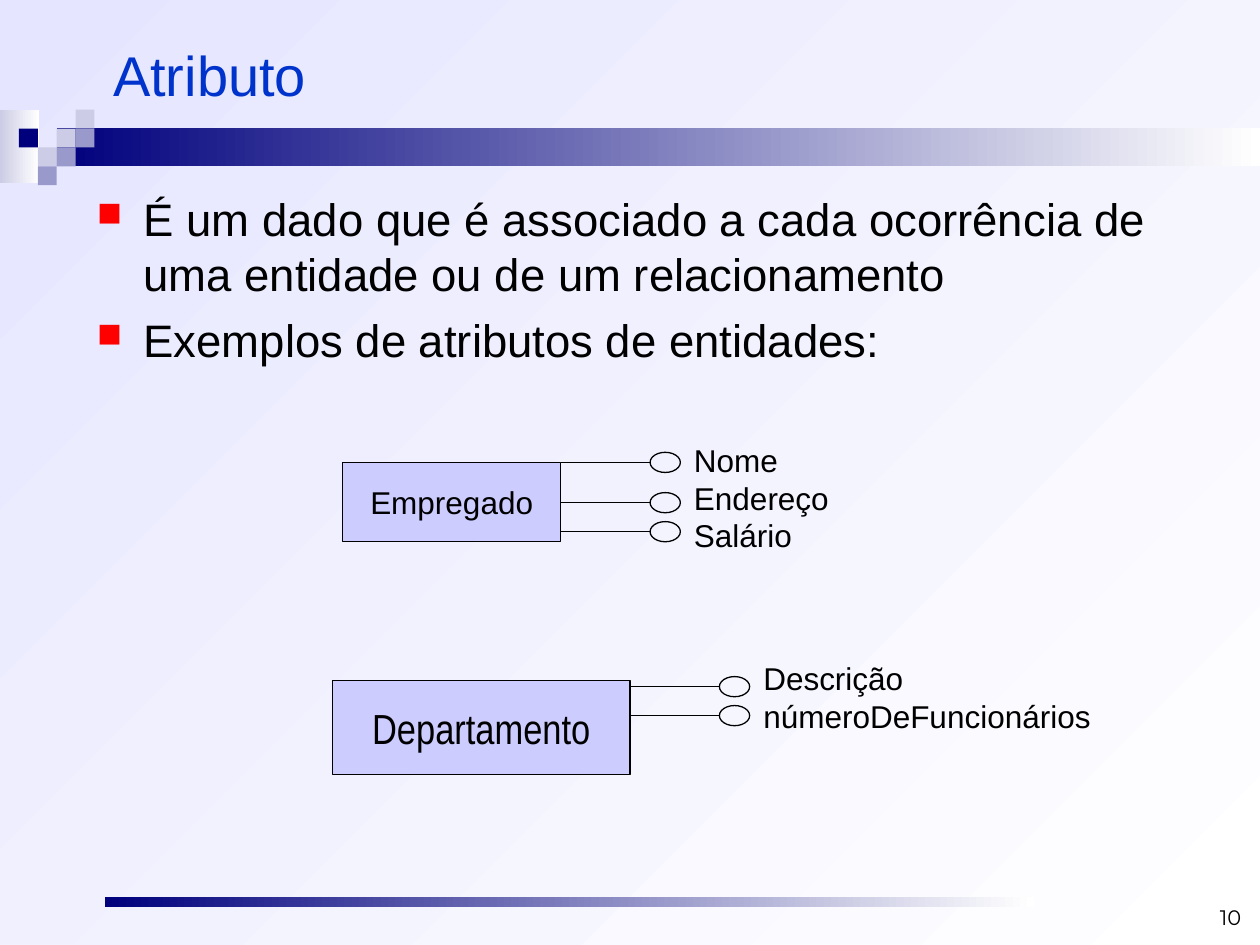
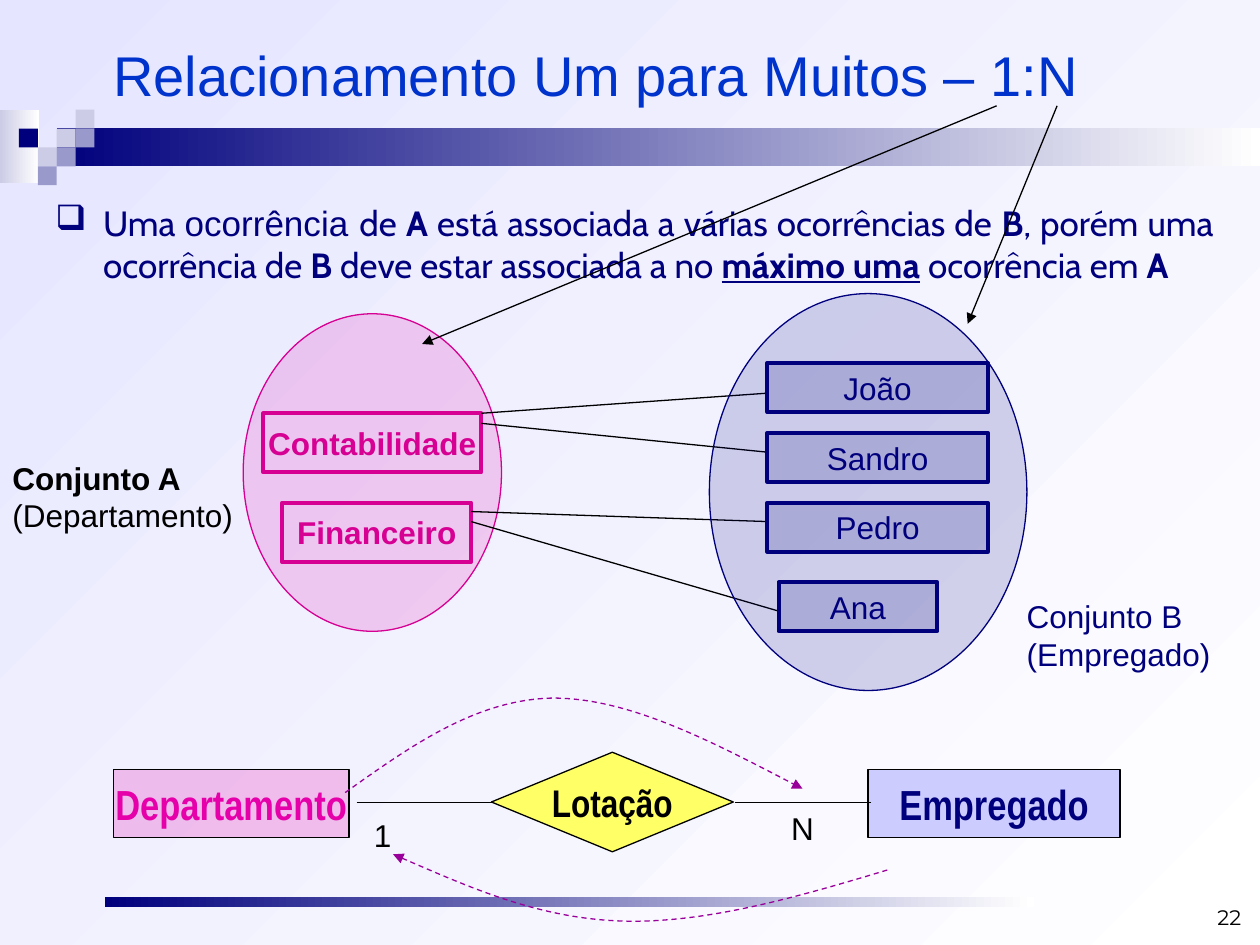
import dataclasses

import lxml.etree
import pptx
import pptx.dml.color
import pptx.enum.dml
import pptx.enum.shapes
import pptx.enum.text
import pptx.oxml
import pptx.oxml.ns
import pptx.util

Inches = pptx.util.Inches
Kind = pptx.enum.shapes.MSO_SHAPE
Align = pptx.enum.text.PP_ALIGN
Anchor = pptx.enum.text.MSO_ANCHOR
qn = pptx.oxml.ns.qn


@dataclasses.dataclass(frozen=True)
class Theme:
    """Colours, fonts and type sizes of the presentation."""
    white: str = "FFFFFF"
    black: str = "000000"
    navy: str = "00007D"
    lavender: str = "E5E5FF"
    pale: str = "CCCCE6"
    mid: str = "9999CC"
    title: str = "0033CC"
    bullet: str = "FF0000"
    entity: str = "CCCCFF"
    pink: str = "E600AA"
    magenta: str = "D60093"
    yellow: str = "FFFF66"
    purple: str = "990099"
    sans: str = "Arial"
    narrow: str = "Arial Narrow"
    prose: str = "Cabin"
    number: str = "Montserrat"
    title_size: float = 32
    body_size: float = 26
    entity_size: float = 24
    diamond_size: float = 22
    prose_size: float = 20
    label_size: float = 18
    number_size: float = 12
    thin: float = 0.75
    thick: float = 2.25


THEME = Theme()


@dataclasses.dataclass(frozen=True)
class Box:
    """A rectangle in inches."""
    x: float
    y: float
    w: float
    h: float

    def inner(self, dx, dy, w, h):
        """Return a box offset from this one's top left corner."""
        return Box(self.x + dx, self.y + dy, w, h)

    def emu(self):
        """Return the four lengths for a shape call."""
        return [Inches(v) for v in (self.x, self.y, self.w, self.h)]


def rgb(code):
    """Turn a hex code into a colour."""
    return pptx.dml.color.RGBColor.from_string(code)


def add_xml(parent, tag, **attributes):
    """Append a drawing element to its parent."""
    return lxml.etree.SubElement(parent, qn(tag), attributes)


def set_gradient(fill, start, end, angle):
    """Apply a linear gradient between two colours."""
    fill.gradient()
    fill.gradient_angle = angle
    for stop, code in zip(fill.gradient_stops, (start, end)):
        stop.color.rgb = rgb(code)


def set_line(line, color, width):
    """Colour and size a line."""
    line.color.rgb = rgb(color)
    line.width = pptx.util.Pt(width)


def style(font, size, color, face=THEME.sans, bold=False):
    """Format a font."""
    font.size = pptx.util.Pt(size)
    font.name = face
    font.bold = bold
    font.color.rgb = rgb(color)


def figure(slide, box, kind=Kind.RECTANGLE, fill=None, alpha=None,
           line=None, width=THEME.thin):
    """Draw a preset shape with an optional fill and outline."""
    shape = slide.shapes.add_shape(kind, *box.emu())
    shape.shadow.inherit = False
    if fill:
        shape.fill.solid()
        shape.fill.fore_color.rgb = rgb(fill)
    else:
        shape.fill.background()
    if alpha:
        color = shape.element.spPr.find(qn("a:solidFill"))[0]
        add_xml(color, "a:alpha", val=str(alpha * 1000))
    if line:
        set_line(shape.line, line, width)
    else:
        shape.line.fill.background()
    return shape


def caption(shape, text, size, color, face=THEME.sans, bold=False):
    """Centre one line of text in a shape."""
    frame = shape.text_frame
    frame.text = text
    frame.word_wrap = False
    frame.vertical_anchor = Anchor.MIDDLE
    frame.paragraphs[0].alignment = Align.CENTER
    style(frame.paragraphs[0].runs[0].font, size, color, face, bold)


def text_box(slide, box, text, size, color, face=THEME.sans,
             anchor=Anchor.TOP, align=Align.LEFT):
    """Place wrapped text in a box and return its frame."""
    frame = slide.shapes.add_textbox(*box.emu()).text_frame
    frame.text = text
    frame.word_wrap = True
    frame.vertical_anchor = anchor
    for paragraph in frame.paragraphs:
        paragraph.alignment = align
        for run in paragraph.runs:
            style(run.font, size, color, face)
    return frame


def label(slide, box, text, color=THEME.black):
    """Place unwrapped text that sizes its own box."""
    frame = text_box(slide, box, text, THEME.label_size, color)
    frame.word_wrap = False
    frame.auto_size = pptx.enum.text.MSO_AUTO_SIZE.SHAPE_TO_FIT_TEXT
    return frame


def link(slide, x1, y1, x2, y2, arrow=False):
    """Draw a straight line, with an arrowhead at its end if asked."""
    straight = pptx.enum.shapes.MSO_CONNECTOR.STRAIGHT
    line = slide.shapes.add_connector(straight, *map(Inches, (x1, y1, x2, y2)))
    set_line(line.line, THEME.black, THEME.thin)
    if arrow:
        add_xml(line.line._get_or_add_ln(), "a:tailEnd", type="triangle")
    add_xml(line.element.spPr, "a:effectLst")


def dashed_curve(slide, box, points, arrow_tag):
    """Draw a dashed chain of Bézier curves through points given in a box."""
    start, *rest = [(Inches(box.x + x), Inches(box.y + y)) for x, y in points]
    builder = slide.shapes.build_freeform(*start)
    builder.add_line_segments(rest, close=False)
    curve = builder.convert_to_shape()
    curve.shadow.inherit = False
    curve.fill.background()
    set_line(curve.line, THEME.purple, THEME.thin)
    curve.line.dash_style = pptx.enum.dml.MSO_LINE.DASH
    add_xml(curve.line._get_or_add_ln(), arrow_tag, type="triangle")
    outline = next(curve.element.iter(qn("a:path")))
    segments = outline.findall(qn("a:lnTo"))
    for first in range(0, len(segments), 3):
        bezier = add_xml(outline, "a:cubicBezTo")
        for segment in segments[first:first + 3]:
            bezier.append(segment[0])
            outline.remove(segment)


def set_bullet(paragraph, char, color, indent, percent=100):
    """Give a paragraph a hanging bullet."""
    properties = paragraph._p.get_or_add_pPr()
    properties.set("marL", str(Inches(indent)))
    properties.set("indent", str(-Inches(indent)))
    add_xml(add_xml(properties, "a:buClr"), "a:srgbClr", val=color)
    add_xml(properties, "a:buSzPct", val=str(percent * 1000))
    add_xml(properties, "a:buChar", char=char)


def add_page(deck, title, number):
    """Add a slide with the shared background, bands, title and number."""
    slide = deck.slides.add_slide(deck.slide_layouts[6])
    set_gradient(slide.background.fill, THEME.white, THEME.lavender, 135)
    bands = [(Box(0, 0.87, 0.31, 0.58), THEME.pale),
             (Box(0.45, 1.02, 9.55, 0.3), THEME.navy),
             (Box(0.83, 7.12, 7.38, 0.08), THEME.navy)]
    for box, color in bands:
        set_gradient(figure(slide, box).fill, THEME.white, color, 180)
    cell = 0.15
    squares = [(3, 1, THEME.pale), (4, 0, THEME.pale), (4, 1, THEME.mid),
               (2, 2, THEME.pale), (1, 1, THEME.navy), (3, 2, THEME.mid),
               (2, 3, THEME.mid)]
    for column, row, color in squares:
        figure(slide, Box(column * cell, 0.87 + row * cell, cell, cell),
               fill=color)
    text_box(slide, Box(0.8, 0.13, 9, 0.91), title, THEME.title_size,
             THEME.title, anchor=Anchor.MIDDLE)
    text_box(slide, Box(7.62, 6.93, 2.33, 0.5), number, THEME.number_size,
             THEME.black, THEME.number, Anchor.BOTTOM, Align.RIGHT)
    return slide


def entity_with_attributes(slide, box, name, size, face, attributes):
    """Draw an entity and its attributes, each at a height within the box."""
    entity = figure(slide, box, fill=THEME.entity, line=THEME.black)
    caption(entity, name, size, THEME.black, face)
    for height in attributes.values():
        figure(slide, box.inner(box.w + 0.71, height - 0.08, 0.24, 0.16),
               Kind.OVAL, line=THEME.black)
        y = box.y + height
        link(slide, box.x + box.w, y, box.x + box.w + 0.71, y)
    label(slide, box.inner(box.w + 0.96, -0.22, 2.8, 0.3 * len(attributes) + 0.1),
          "\n".join(attributes))


def entity_set(slide, box, fill, alpha, color, members, member_alpha, bold):
    """Draw a set as an ellipse with its members placed inside."""
    figure(slide, box, Kind.OVAL, fill, alpha, color)
    for name, place in members.items():
        member = figure(slide, box.inner(*place), alpha=member_alpha,
                        fill=fill if member_alpha else None,
                        line=color, width=THEME.thick)
        caption(member, name, THEME.label_size, color, bold=bold)


def relationship(slide, box):
    """Draw the entity-relationship diagram with its cardinalities."""
    parts = [
        ("Empregado", (5.99, 0.63, 2, 0.54), Kind.RECTANGLE, THEME.entity,
         None, THEME.navy, THEME.entity_size),
        ("Departamento", (0, 0.63, 1.87, 0.54), Kind.RECTANGLE, THEME.pink,
         22, THEME.pink, THEME.entity_size),
        ("Lotação", (3, 0.49, 1.92, 0.79), Kind.FLOWCHART_DECISION,
         THEME.yellow, None, THEME.black, THEME.diamond_size)]
    for name, place, kind, fill, alpha, color, size in parts:
        part = figure(slide, box.inner(*place), kind, fill, alpha, THEME.black)
        caption(part, name, size, color, THEME.narrow, True)
    for start in (1.93, 4.93):
        link(slide, box.x + start, box.y + 0.89, box.x + start + 1.08, box.y + 0.89)
    label(slide, box.inner(5.28, 0.89, 0.38, 0.4), "N")
    label(slide, box.inner(1.97, 0.95, 0.34, 0.4), "1")
    dashed_curve(slide, box, [(1.84, 0.81), (2.36, 0.44), (2.88, 0.07),
                              (3.49, 0.06), (4.09, 0.06), (4.78, 0.42),
                              (5.47, 0.78)], "a:tailEnd")
    dashed_curve(slide, box, [(2.22, 1.3), (2.8, 1.55), (3.38, 1.81),
                              (4.04, 1.83), (4.7, 1.85), (5.43, 1.64),
                              (6.16, 1.42)], "a:headEnd")


def definition(slide, box):
    """Write the rule of the one-to-many relationship."""
    phrases = ["Uma ", "ocorrência ", "de ", "A",
               " está associada a várias ocorrências de ", "B",
               ", porém uma ocorrência de ", "B",
               " deve estar associada a no ", "máximo uma",
               " ocorrência em ", "A"]
    frame = text_box(slide, box, "", THEME.prose_size, THEME.navy,
                     align=Align.JUSTIFY)
    paragraph = frame.paragraphs[0]
    set_bullet(paragraph, "❑", THEME.navy, 0.38)
    for phrase in phrases:
        run = paragraph.add_run()
        run.text = phrase
        face = THEME.sans if phrase == "ocorrência " else THEME.prose
        style(run.font, THEME.prose_size, THEME.navy, face,
              phrase in ("A", "B", "máximo uma"))
        run.font.underline = phrase == "máximo uma"


def attribute_slide(deck):
    """Build the slide on attributes."""
    slide = add_page(deck, "Atributo", "10")
    body = text_box(
        slide, Box(0.67, 1.47, 9.01, 5.05),
        "É um dado que é associado a cada ocorrência de uma entidade ou de um "
        "relacionamento\nExemplos de atributos de entidades:",
        THEME.body_size, THEME.black)
    for paragraph in body.paragraphs:
        set_bullet(paragraph, "■", THEME.bullet, 0.37, 75)
    body.paragraphs[1].space_before = pptx.util.Pt(6.5)
    entity_with_attributes(
        slide, Box(2.72, 3.67, 1.73, 0.63), "Empregado", THEME.label_size,
        THEME.sans, {"Nome": 0, "Endereço": 0.32, "Salário": 0.55})
    entity_with_attributes(
        slide, Box(2.64, 5.4, 2.36, 0.75), "Departamento", THEME.entity_size,
        THEME.narrow, {"Descrição": 0.05, "númeroDeFuncionários": 0.28})


def one_to_many_slide(deck):
    """Build the slide on the one-to-many relationship."""
    slide = add_page(deck, "Relacionamento Um para Muitos – 1:N", "22")
    definition(slide, Box(0.34, 1.55, 9.39, 1.57))
    entity_set(slide, Box(1.93, 2.49, 2.05, 2.52), THEME.pink, 17,
               THEME.magenta, {"Contabilidade": (0.16, 0.79, 1.73, 0.47),
                               "Financeiro": (0.31, 1.5, 1.5, 0.47)}, None, True)
    for ends in [(3.82, 3.28, 6.1, 3.12), (3.82, 3.36, 6.1, 3.59),
                 (3.74, 4.06, 6.1, 4.14), (3.74, 4.14, 6.18, 4.85)]:
        link(slide, *ends)
    for ends in [(7.91, 0.84, 3.35, 2.73), (8.39, 0.84, 7.68, 2.57)]:
        link(slide, *ends, arrow=True)
    employees = {name: (0.46, 0.55 + 0.555 * row, 1.75, 0.39)
                 for row, name in enumerate(["João", "Sandro", "Pedro"])}
    employees["Ana"] = (0.55, 2.29, 1.26, 0.39)
    entity_set(slide, Box(5.63, 2.33, 2.52, 3.15), THEME.navy, 16,
               THEME.navy, employees, 16, False)
    set_a = label(slide, Box(0, 3.59, 1.95, 0.7), "Conjunto A\n(Departamento)")
    set_a.paragraphs[0].runs[0].font.bold = True
    label(slide, Box(8.05, 4.69, 1.66, 0.7), "Conjunto B\n(Empregado)", THEME.navy)
    relationship(slide, Box(0.9, 5.48, 7.99, 1.87))


def main():
    """Build and save the presentation."""
    deck = pptx.Presentation()
    deck.slide_width, deck.slide_height = Inches(10), Inches(7.5)
    attribute_slide(deck)
    one_to_many_slide(deck)
    deck.save("out.pptx")


if __name__ == "__main__":
    main()
